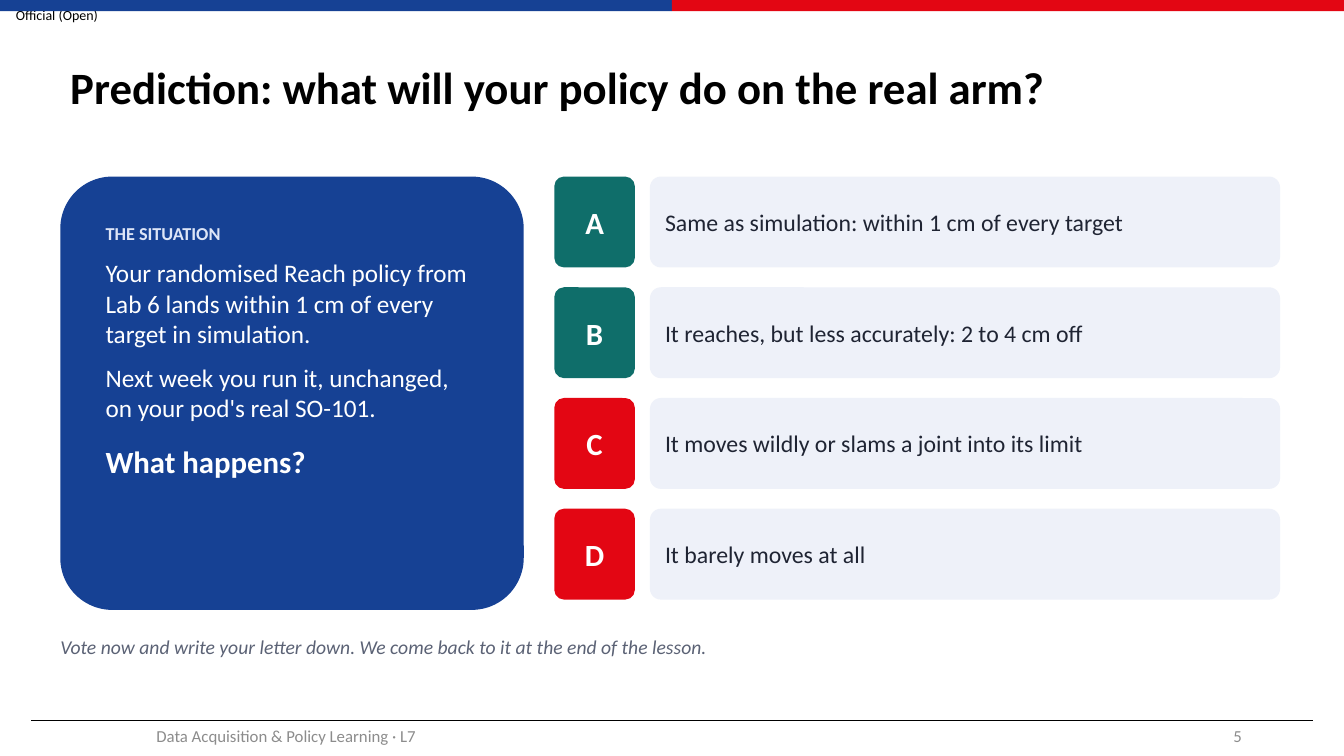
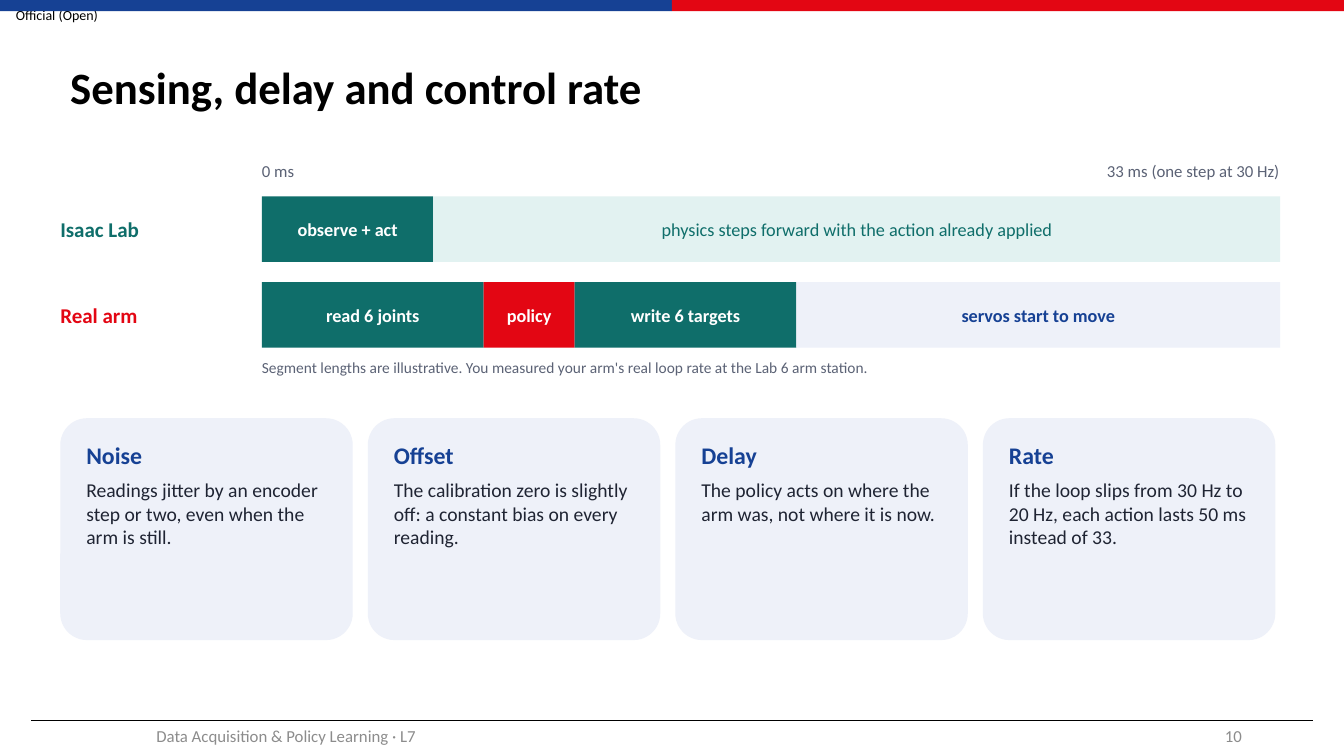
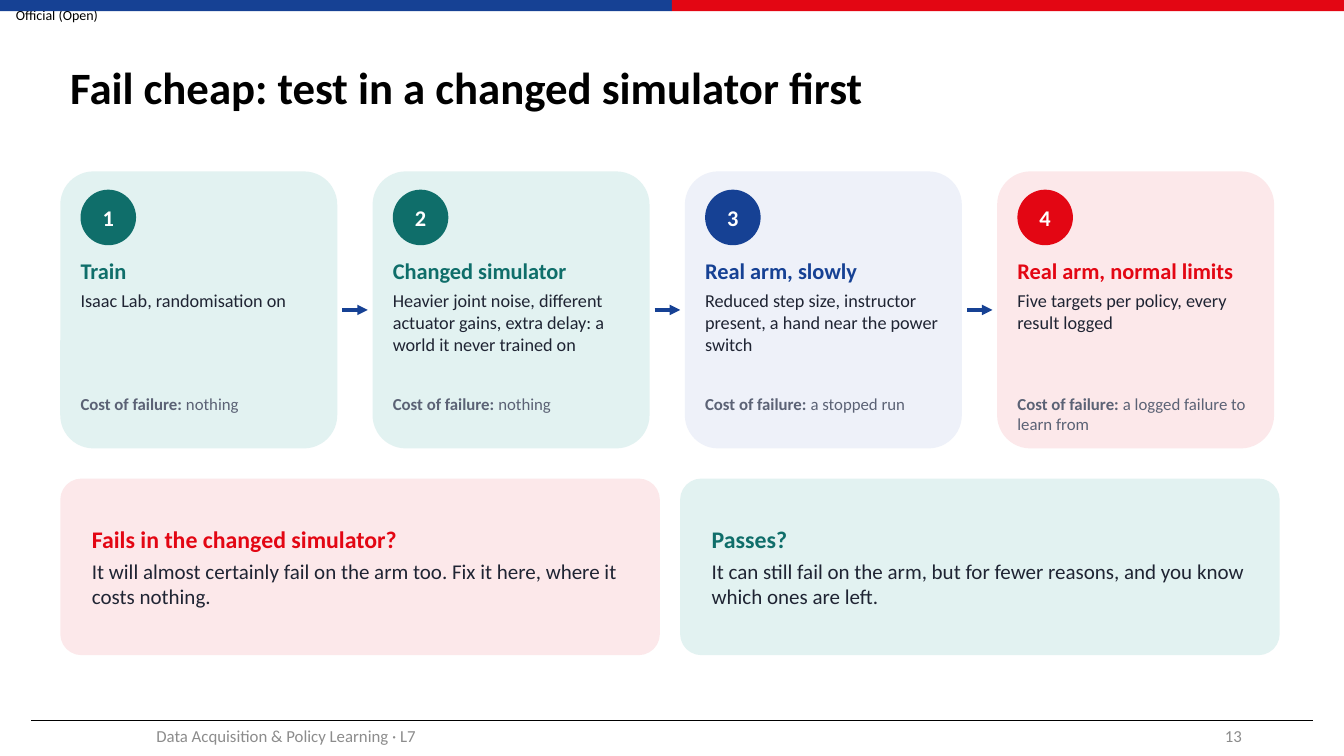
from dataclasses import dataclass
from itertools import count
from typing import NamedTuple

from lxml.etree import SubElement
from pptx import Presentation
from pptx.dml.color import RGBColor
from pptx.enum.shapes import MSO_CONNECTOR, MSO_SHAPE
from pptx.enum.text import MSO_ANCHOR, MSO_AUTO_SIZE, PP_ALIGN
from pptx.oxml.ns import qn
from pptx.shapes.autoshape import Shape
from pptx.shapes.connector import Connector
from pptx.slide import Slide, SlideLayout
from pptx.text.text import TextFrame
from pptx.util import Cm, Pt

FONT = "Calibri"
HUES = {
    "blue": "164194", "red": "E30613", "teal": "0F6E6A",
    "ice": "EEF1F9", "mint": "E2F2F1", "rose": "FCE8EA", "pale": "DDE5F7",
    "ink": "1F2433", "slate": "5B6275", "grey": "8C8C8C",
    "black": "000000", "white": "FFFFFF",
}
WIDE, HIGH = 33.87, 19.05
EDGE = 1.52
SPAN = 30.73
LEFT, MID, RIGHT = PP_ALIGN.LEFT, PP_ALIGN.CENTER, PP_ALIGN.RIGHT
RECT, ROUND, OVAL = MSO_SHAPE.RECTANGLE, MSO_SHAPE.ROUNDED_RECTANGLE, MSO_SHAPE.OVAL


class Box(NamedTuple):
    x: float
    y: float
    w: float
    h: float


class Pad(NamedTuple):
    x: float = 0
    y: float = 0


FOOT_PAD = Pad(0.25, 0.13)


@dataclass(frozen=True)
class Span:
    text: str
    size: float
    hue: str
    bold: bool = False
    slant: bool = False


@dataclass(frozen=True)
class Para:
    spans: tuple[Span, ...]
    after: float = 0
    align: PP_ALIGN = LEFT


@dataclass(frozen=True)
class Choice:
    mark: str
    text: str
    hue: str


@dataclass(frozen=True)
class Slot:
    """One segment of a timing bar."""
    text: str
    width: float
    fill: str
    hue: str = "white"
    bold: bool = True


@dataclass(frozen=True)
class Track:
    name: str
    hue: str
    slots: tuple[Slot, ...]


@dataclass(frozen=True)
class Card:
    head: str
    text: str
    hue: str = "blue"
    fill: str = "ice"


@dataclass(frozen=True)
class Stage(Card):
    cost: str = "nothing"


CHOICES = (
    Choice("A", "Same as simulation: within 1 cm of every target", "teal"),
    Choice("B", "It reaches, but less accurately: 2 to 4 cm off", "teal"),
    Choice("C", "It moves wildly or slams a joint into its limit", "red"),
    Choice("D", "It barely moves at all", "red"),
)
TRACKS = (
    Track("Isaac Lab", "teal", (
        Slot("observe + act", 4.32, "teal"),
        Slot("physics steps forward with the action already applied",
             21.34, "mint", "teal", False),
    )),
    Track("Real arm", "red", (
        Slot("read 6 joints", 5.59, "teal"),
        Slot("policy", 2.29, "red"),
        Slot("write 6 targets", 5.59, "teal"),
        Slot("servos start to move", 12.19, "ice", "blue"),
    )),
)
ISSUES = (
    Card("Noise", "Readings jitter by an encoder step or two, even when the arm is still."),
    Card("Offset", "The calibration zero is slightly off: a constant bias on every reading."),
    Card("Delay", "The policy acts on where the arm was, not where it is now."),
    Card("Rate", "If the loop slips from 30 Hz to 20 Hz, each action lasts 50 ms instead of 33."),
)
STAGES = (
    Stage("Train", "Isaac Lab, randomisation on", "teal", "mint"),
    Stage("Changed simulator",
          "Heavier joint noise, different actuator gains, extra delay: "
          "a world it never trained on", "teal", "mint"),
    Stage("Real arm, slowly",
          "Reduced step size, instructor present, a hand near the power switch",
          cost="a stopped run"),
    Stage("Real arm, normal limits", "Five targets per policy, every result logged",
          "red", "rose", "a logged failure to learn from"),
)
FATES = (
    Card("Fails in the changed simulator?",
         "It will almost certainly fail on the arm too. Fix it here, where it costs nothing.",
         "red", "rose"),
    Card("Passes?",
         "It can still fail on the arm, but for fewer reasons, "
         "and you know which ones are left.", "teal", "mint"),
)


def tint(name: str) -> RGBColor:
    return RGBColor.from_string(HUES[name])


def line(text: str, size: float, hue: str, bold: bool = False, slant: bool = False,
         after: float = 0, align: PP_ALIGN = LEFT) -> Para:
    """Make a paragraph of a single run."""
    return Para((Span(text, size, hue, bold, slant),), after, align)


def pair(card: Card, head: float, body: float, after: float) -> tuple[Para, ...]:
    """Make a coloured heading with its body text."""
    return (line(card.head, head, card.hue, True, after=after),
            line(card.text, body, "ink"))


def write(frame: TextFrame, paras: tuple[Para, ...]) -> None:
    for pos, para in enumerate(paras):
        item = frame.add_paragraph() if pos else frame.paragraphs[0]
        item.alignment = para.align
        item.space_after = Pt(para.after)
        for span in para.spans:
            run = item.add_run()
            run.text = span.text
            font = run.font
            font.name, font.size = FONT, Pt(span.size)
            font.bold, font.italic = span.bold, span.slant
            font.color.rgb = tint(span.hue)


def fit(frame: TextFrame, pad: Pad, mid: bool) -> None:
    """Set wrapping, insets and anchor."""
    frame.word_wrap = True
    frame.auto_size = MSO_AUTO_SIZE.NONE
    frame.margin_left = frame.margin_right = Cm(pad.x)
    frame.margin_top = frame.margin_bottom = Cm(pad.y)
    frame.vertical_anchor = MSO_ANCHOR.MIDDLE if mid else MSO_ANCHOR.TOP


def label(slide: Slide, box: Box, *paras: Para, pad: Pad = Pad(), mid: bool = False) -> Shape:
    shape = slide.shapes.add_textbox(*map(Cm, box))
    fit(shape.text_frame, pad, mid)
    write(shape.text_frame, paras)
    return shape


def block(slide: Slide, kind: MSO_SHAPE, box: Box, fill: str, *paras: Para,
          pad: Pad = Pad(), mid: bool = True) -> Shape:
    shape = slide.shapes.add_shape(kind, *map(Cm, box))
    shape.shadow.inherit = False
    shape.fill.solid()
    shape.fill.fore_color.rgb = tint(fill)
    shape.line.fill.background()
    if kind == ROUND:
        shape.adjustments[0] = 0.12
    fit(shape.text_frame, pad, mid)
    write(shape.text_frame, paras)
    return shape


def rule(slide: Slide, x: float, y: float, w: float, hue: str, weight: float,
         arrow: bool = False) -> Connector:
    link = slide.shapes.add_connector(
        MSO_CONNECTOR.STRAIGHT, Cm(x), Cm(y), Cm(x + w), Cm(y))
    link.line.color.rgb = tint(hue)
    link.line.width = Pt(weight)
    form = link.element.spPr
    if arrow:
        SubElement(form.find(qn("a:ln")), qn("a:tailEnd"), type="triangle")
    SubElement(form, qn("a:effectLst"))
    return link


def dress(layout: SlideLayout, slide: Slide) -> None:
    """Draw the shared bands and footer, then move them to the layout."""
    for spot in list(layout.placeholders):
        if spot.placeholder_format.idx:
            spot.element.getparent().remove(spot.element)
        else:
            spot.left, spot.top, spot.width, spot.height = map(
                Cm, (EDGE, 0.76, 30.68, 3))
    half = WIDE / 2
    items = (
        label(slide, Box(0, 0, 2.87, 0.74),
              line("Official (Open)", 10, "black", align=MID), mid=True),
        block(slide, RECT, Box(0, 0, half, 0.28), "blue"),
        block(slide, RECT, Box(half, 0, half, 0.28), "red"),
        rule(slide, 0.79, 18.14, 32.31, "black", 0.5),
        label(slide, Box(1.5, 18.03, 11.43, 1.02),
              line("Data Acquisition & Policy Learning · L7", 12, "grey", align=MID),
              pad=FOOT_PAD, mid=True),
    )
    for mark, item in zip(count(20), items):
        item.element.xpath(".//p:cNvPr")[0].set("id", str(mark))
        layout.shapes.element.append(item.element)


def start(slide: Slide, title: str, page: int) -> None:
    """Fill the title and the page number."""
    frame = slide.shapes.title.text_frame
    fit(frame, FOOT_PAD, True)
    write(frame, (line(title, 32, "black", True),))
    frame.paragraphs[0].line_spacing = 0.9
    label(slide, Box(23.93, 18.03, 7.62, 1.02),
          line(str(page), 12, "grey", align=RIGHT), pad=FOOT_PAD, mid=True)


def guess(slide: Slide) -> None:
    """Draw the situation and the four answers."""
    top = 4.45
    block(slide, ROUND, Box(EDGE, top, 11.68, 10.92), "blue",
          line("THE SITUATION", 13, "pale", True, after=10),
          line("Your randomised Reach policy from Lab 6 lands within 1 cm "
               "of every target in simulation.", 18, "white", after=10),
          line("Next week you run it, unchanged, on your pod's real SO-101.",
               18, "white", after=14),
          line("What happens?", 22, "white", True),
          pad=Pad(0.76, 0.76), mid=False)
    for row, pick in enumerate(CHOICES):
        y = top + row * 2.79
        block(slide, ROUND, Box(13.97, y, 2.03, 2.29), pick.hue,
              line(pick.mark, 22, "white", True, align=MID), pad=Pad(0.05, 0.05))
        block(slide, ROUND, Box(16.38, y, 15.88, 2.29), "ice",
              line(pick.text, 17, "ink"), pad=Pad(0.3, 0.15))
    label(slide, Box(EDGE, 16, SPAN, 1.02),
          line("Vote now and write your letter down. "
               "We come back to it at the end of the lesson.", 14, "slate", slant=True))


def timing(slide: Slide) -> None:
    """Draw the timing bars and the four issues."""
    x, wide, tall = 6.6, 25.65, 1.65
    label(slide, Box(x, 4.06, 5.08, 0.76), line("0 ms", 12, "slate"))
    label(slide, Box(x + wide - 5.08, 4.06, 5.08, 0.76),
          line("33 ms (one step at 30 Hz)", 12, "slate", align=RIGHT))
    for row, track in enumerate(TRACKS):
        y, left = 4.95 + row * 2.16, x
        label(slide, Box(EDGE, y, 4.7, tall),
              line(track.name, 15, track.hue, True), mid=True)
        for slot in track.slots:
            block(slide, RECT, Box(left, y, slot.width, tall), slot.fill,
                  line(slot.text, 13, slot.hue, slot.bold, align=MID), pad=Pad(0.1))
            left += slot.width
    label(slide, Box(x, 9.02, wide, 0.76),
          line("Segment lengths are illustrative. You measured your arm's real "
               "loop rate at the Lab 6 arm station.", 11, "slate"))
    for col, card in enumerate(ISSUES):
        block(slide, ROUND, Box(EDGE + col * 7.75, 10.54, 7.37, 5.59), card.fill,
              *pair(card, 17, 14, 6), pad=Pad(0.46, 0.38), mid=False)


def ladder(slide: Slide) -> None:
    """Draw the four test stages and the two outcomes."""
    top, side, step = 4.32, 6.98, 7.87
    for col, stage in enumerate(STAGES):
        x = EDGE + col * step
        left = x + 0.51
        block(slide, ROUND, Box(x, top, side, side), stage.fill)
        block(slide, OVAL, Box(left, top + 0.46, 1.4, 1.4), stage.hue,
              line(str(col + 1), 16, "white", True, align=MID))
        label(slide, Box(left, 6.48, 6.1, 3.43), *pair(stage, 16, 13, 4))
        label(slide, Box(left, 9.91, 6.1, 1.27),
              Para((Span("Cost of failure: ", 12, "slate", True),
                    Span(stage.cost, 12, "slate"))))
        if col < len(STAGES) - 1:
            rule(slide, x + side + 0.13, top + side / 2, 0.64, "blue", 2.5, True)
    for col, fate in enumerate(FATES):
        block(slide, ROUND, Box(EDGE + col * 15.62, 12.06, 15.11, 4.45), fate.fill,
              *pair(fate, 17, 15, 4), pad=Pad(0.64, 0.3))


def main() -> None:
    deck = Presentation()
    deck.slide_width, deck.slide_height = Cm(WIDE), Cm(HIGH)
    layout = deck.slide_layouts[5]
    pages = (
        ("Prediction: what will your policy do on the real arm?", 5, guess),
        ("Sensing, delay and control rate", 10, timing),
        ("Fail cheap: test in a changed simulator first", 13, ladder),
    )
    for pos, (title, page, draw) in enumerate(pages):
        slide = deck.slides.add_slide(layout)
        if pos == 0:
            dress(layout, slide)
        start(slide, title, page)
        draw(slide)
    deck.save("out.pptx")


if __name__ == "__main__":
    main()
